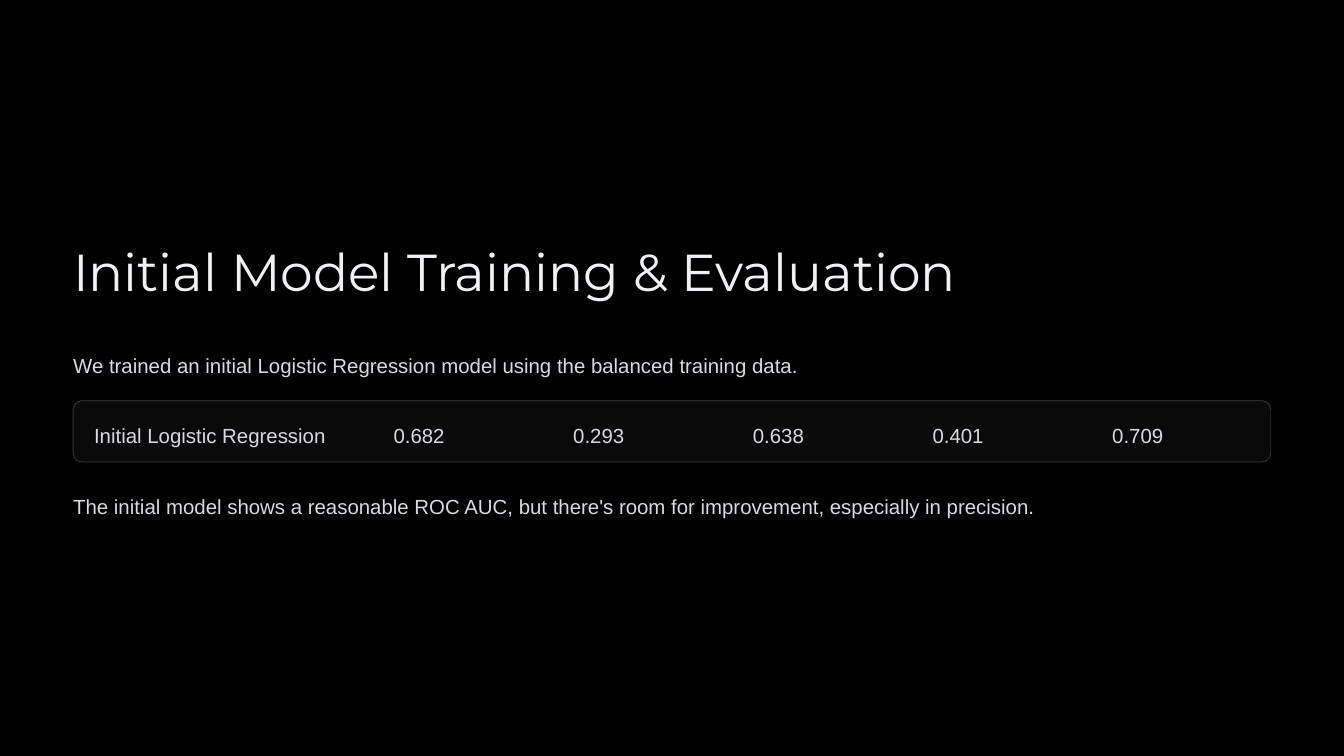
from dataclasses import dataclass

from lxml.etree import SubElement as Sub
from pptx import Presentation
from pptx.dml.color import RGBColor as RGB
from pptx.enum.shapes import MSO_SHAPE as Shape
from pptx.enum.text import MSO_ANCHOR as Anchor
from pptx.enum.text import MSO_AUTO_SIZE as Auto
from pptx.enum.text import PP_ALIGN as Align
from pptx.oxml.ns import qn
from pptx.util import Inches, Pt


@dataclass(frozen=True)
class Theme:
    back: RGB = RGB(0, 0, 0)
    head: RGB = RGB(0xF2, 0xF0, 0xF4)
    text: RGB = RGB(0xDC, 0xD7, 0xE5)
    panel: RGB = RGB(0xFF, 0xFF, 0xFF)
    head_font: str = "Montserrat"
    text_font: str = "Arial"
    head_size: float = 44.5
    text_size: float = 17.5
    head_line: float = 55.5
    text_line: float = 28.5


THEME = Theme()
LEFT, WIDE = 0.87, 14.26
SHARES = [0.25] + [0.15] * 5
SCORES = ["Initial Logistic Regression", "0.682", "0.293", "0.638", "0.401", "0.709"]


def write(frame, text, font=THEME.text_font, size=THEME.text_size,
          color=THEME.text, line=THEME.text_line):
    """Fill a text frame with one plain, left-aligned paragraph."""
    frame.text = text
    para = frame.paragraphs[0]
    props = para._p.get_or_add_pPr()
    props.set("marL", "0")
    props.set("indent", "0")
    Sub(props, qn("a:buNone"))
    para.alignment = Align.LEFT
    para.line_spacing = Pt(line)
    para.space_before = Pt(0)
    run = para.runs[0].font
    run.name, run.size, run.color.rgb = font, Pt(size), color


def place(holder, top, high, text, **style):
    """Move a placeholder to the full text width and write in it."""
    holder.left, holder.top = Inches(LEFT), Inches(top)
    holder.width, holder.height = Inches(WIDE), Inches(high)
    frame = holder.text_frame
    write(frame, text, **style)
    frame.word_wrap = True
    frame.auto_size = Auto.NONE
    frame.vertical_anchor = Anchor.TOP
    frame.margin_left = frame.margin_right = 0
    frame.margin_top = frame.margin_bottom = 0


def panel(slide, top, high):
    """Draw the rounded, nearly clear frame behind the scores."""
    box = slide.shapes.add_shape(Shape.ROUNDED_RECTANGLE, Inches(LEFT),
                                 Inches(top), Inches(WIDE), Inches(high))
    box.adjustments[0] = 0.143
    box.shadow.inherit = False
    box.fill.solid()
    box.fill.fore_color.rgb = THEME.panel
    box.line.color.rgb = THEME.panel
    box.line.width = Pt(0.6)
    tints = list(box.element.spPr.iter(qn("a:srgbClr")))
    for tint, share in zip(tints, (4, 24)):
        Sub(tint, qn("a:alpha"), val=str(share * 1000))


def scores(slide, top, high):
    """Lay the model's scores out as a one-row table without rules."""
    table = slide.shapes.add_table(1, len(SCORES), Inches(LEFT + 0.01), Inches(top),
                                   Inches(WIDE), Inches(high)).table
    table.first_row = table.horz_banding = False
    for col, share in zip(table.columns, SHARES):
        col.width = Inches(WIDE * share)
    for cell, text in zip(table.rows[0].cells, SCORES):
        cell.margin_left, cell.margin_right = Inches(0.24), 0
        cell.margin_top, cell.margin_bottom = Inches(0.16), 0
        for side in ("lnL", "lnR", "lnT", "lnB"):
            edge = Sub(cell._tc.get_or_add_tcPr(), qn("a:" + side), w="0")
            Sub(edge, qn("a:noFill"))
        cell.fill.background()
        write(cell.text_frame, text)


def main():
    deck = Presentation()
    deck.slide_width, deck.slide_height = Inches(16), Inches(9)
    slide = deck.slides.add_slide(deck.slide_layouts.get_by_name("Two Content"))
    slide.background.fill.solid()
    slide.background.fill.fore_color.rgb = THEME.back
    title, intro, close = list(slide.placeholders)[:3]
    place(title, 2.82, 0.78, "Initial Model Training & Evaluation",
          font=THEME.head_font, size=THEME.head_size,
          color=THEME.head, line=THEME.head_line)
    place(intro, 4.1, 0.4, "We trained an initial Logistic Regression model "
          "using the balanced training data.")
    panel(slide, 4.77, 0.73)
    scores(slide, 4.78, 0.71)
    place(close, 5.78, 0.4, "The initial model shows a reasonable ROC AUC, but "
          "there's room for improvement, especially in precision.")
    deck.save("out.pptx")


if __name__ == "__main__":
    main()
